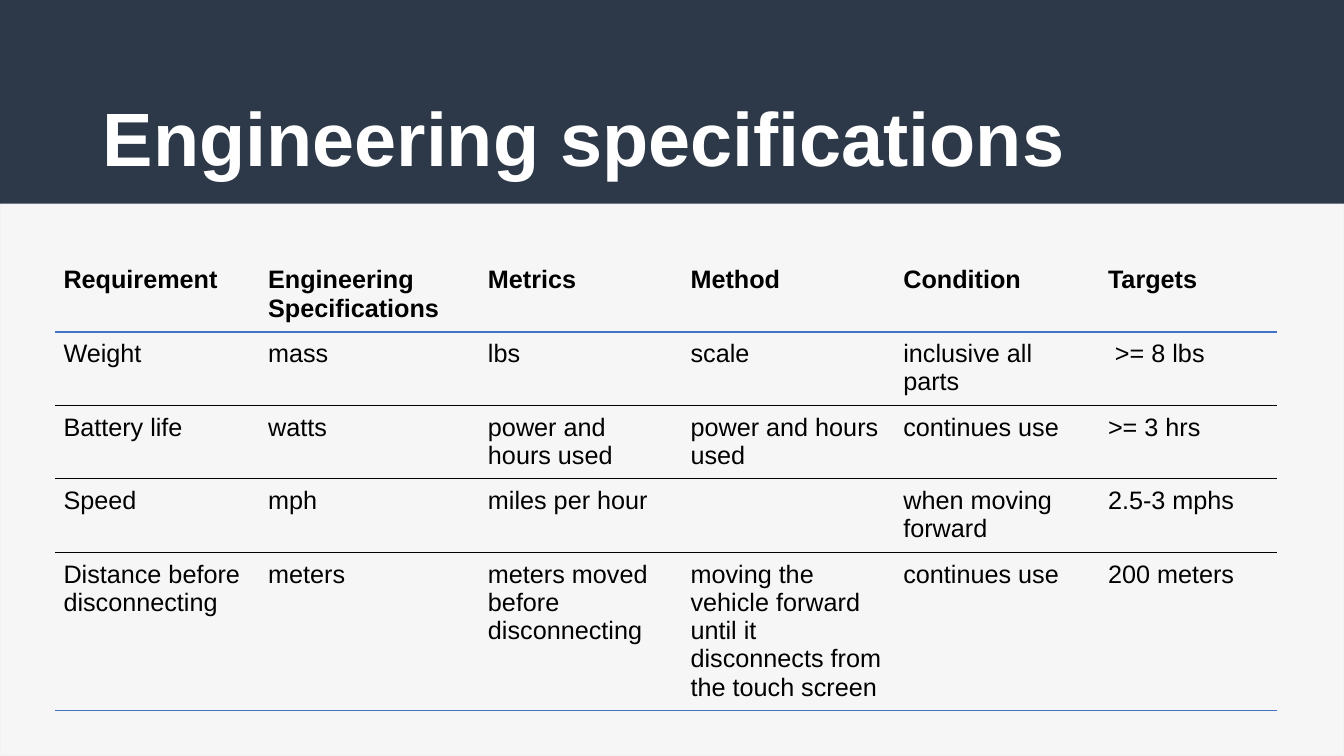
from lxml import etree
from pptx import Presentation, util as u
from pptx.dml.color import RGBColor
from pptx.enum import shapes, text
from pptx.oxml.ns import qn

WIDTH, HEIGHT = 13.33, 7.5
FONT = "Arial"
NAVY, WHITE, BLACK, BLUE = "2D3848", "FFFFFF", "000000", "4472C4"

COLUMN_WIDTHS = [2.03, 2.18, 2.01, 2.11, 2.03, 1.76]
ROW_HEIGHTS = [0.73, 0.73, 0.73, 0.73, 1.57]
SPECIFICATIONS = [
    ["Requirement", "Engineering Specifications", "Metrics", "Method",
     "Condition", "Targets"],
    ["Weight", "mass", "lbs", "scale", "inclusive all parts", " >= 8 lbs"],
    ["Battery life", "watts", "power and hours used", "power and hours used",
     "continues use", ">= 3 hrs"],
    ["Speed", "mph", "miles per hour", "", "when moving forward",
     "2.5-3 mphs"],
    ["Distance before disconnecting", "meters",
     "meters moved before disconnecting",
     "moving the vehicle forward until it disconnects from the touch screen",
     "continues use", "200 meters"],
]
# Line between rows: colour and width in points; None above the header
HEADER_RULE, ROW_RULE, END_RULE = (BLUE, 1.5), (BLACK, 0.75), (BLUE, 1)
RULES = [None, HEADER_RULE, ROW_RULE, ROW_RULE, ROW_RULE, END_RULE]


def color(value):
    return RGBColor.from_string(value)


def write(frame, words, size=18, ink=BLACK, bold=False):
    para = frame.paragraphs[0]
    para.alignment = text.PP_ALIGN.LEFT
    span = para.add_run()
    span.text = words
    span.font.name, span.font.size = FONT, u.Pt(size)
    span.font.bold, span.font.color.rgb = bold, color(ink)


def add_panel(page, height, fill, alpha=None, line=None):
    panel = page.shapes.add_shape(shapes.MSO_SHAPE.RECTANGLE, 0, 0,
                                  u.Inches(WIDTH), u.Inches(height))
    panel.shadow.inherit = False
    panel.fill.solid()
    panel.fill.fore_color.rgb = color(fill)
    if alpha:
        tint = panel.fill._xPr.find(qn("a:solidFill"))[0]
        etree.SubElement(tint, qn("a:alpha"), val=str(alpha * 1000))
    if line:
        panel.line.color.rgb, panel.line.width = color(line), u.Pt(1)
    else:
        panel.line.fill.background()


def set_borders(cell, top, bottom):
    """Rules above and below the cell, none at its sides."""
    sides = [("lnL", None), ("lnR", None), ("lnT", top), ("lnB", bottom)]
    properties = cell._tc.get_or_add_tcPr()
    for place, (tag, rule) in enumerate(sides):
        border = etree.Element(qn("a:" + tag))
        if rule:
            border.set("w", str(u.Pt(rule[1])))
            fill = etree.SubElement(border, qn("a:solidFill"))
            etree.SubElement(fill, qn("a:srgbClr"), val=rule[0])
        else:
            etree.SubElement(border, qn("a:noFill"))
        properties.insert(place, border)


def add_background(page):
    add_panel(page, HEIGHT, WHITE)
    add_panel(page, HEIGHT, "F2F1F1", alpha=60, line="F2F2F2")
    add_panel(page, 2.02, NAVY)


def place_title(page, words, left, top, width, height):
    title = page.shapes.title
    title.left, title.top = u.Inches(left), u.Inches(top)
    title.width, title.height = u.Inches(width), u.Inches(height)
    frame = title.text_frame
    frame.word_wrap = True
    frame.auto_size = text.MSO_AUTO_SIZE.NONE
    frame.vertical_anchor = text.MSO_ANCHOR.BOTTOM
    write(frame, words, size=54, ink=WHITE, bold=True)
    # Bring the title in front of the navy band
    page.shapes._spTree.append(title._element)


def add_specifications(page, left, top):
    table = page.shapes.add_table(
        len(ROW_HEIGHTS), len(COLUMN_WIDTHS), u.Inches(left), u.Inches(top),
        u.Inches(sum(COLUMN_WIDTHS)), u.Inches(sum(ROW_HEIGHTS))).table
    table.first_row = table.horz_banding = False
    for column, width in zip(table.columns, COLUMN_WIDTHS):
        column.width = u.Inches(width)
    for index, (row, height) in enumerate(zip(table.rows, ROW_HEIGHTS)):
        row.height = u.Inches(height)
        for cell, words in zip(row.cells, SPECIFICATIONS[index]):
            cell.margin_left = cell.margin_right = u.Inches(0.08)
            cell.margin_top = cell.margin_bottom = u.Inches(0.08)
            cell.fill.background()
            set_borders(cell, RULES[index], RULES[index + 1])
            if words:
                write(cell.text_frame, words, bold=index == 0)


def main():
    deck = Presentation()
    deck.slide_width, deck.slide_height = u.Inches(WIDTH), u.Inches(HEIGHT)
    page = deck.slides.add_slide(deck.slide_layouts[0])
    subtitle = page.placeholders[1]._element
    subtitle.getparent().remove(subtitle)

    add_background(page)
    place_title(page, "Engineering specifications", 0.92, 0.19, 11.76, 1.66)
    add_specifications(page, 0.55, 2.56)
    deck.save("out.pptx")


if __name__ == "__main__":
    main()
